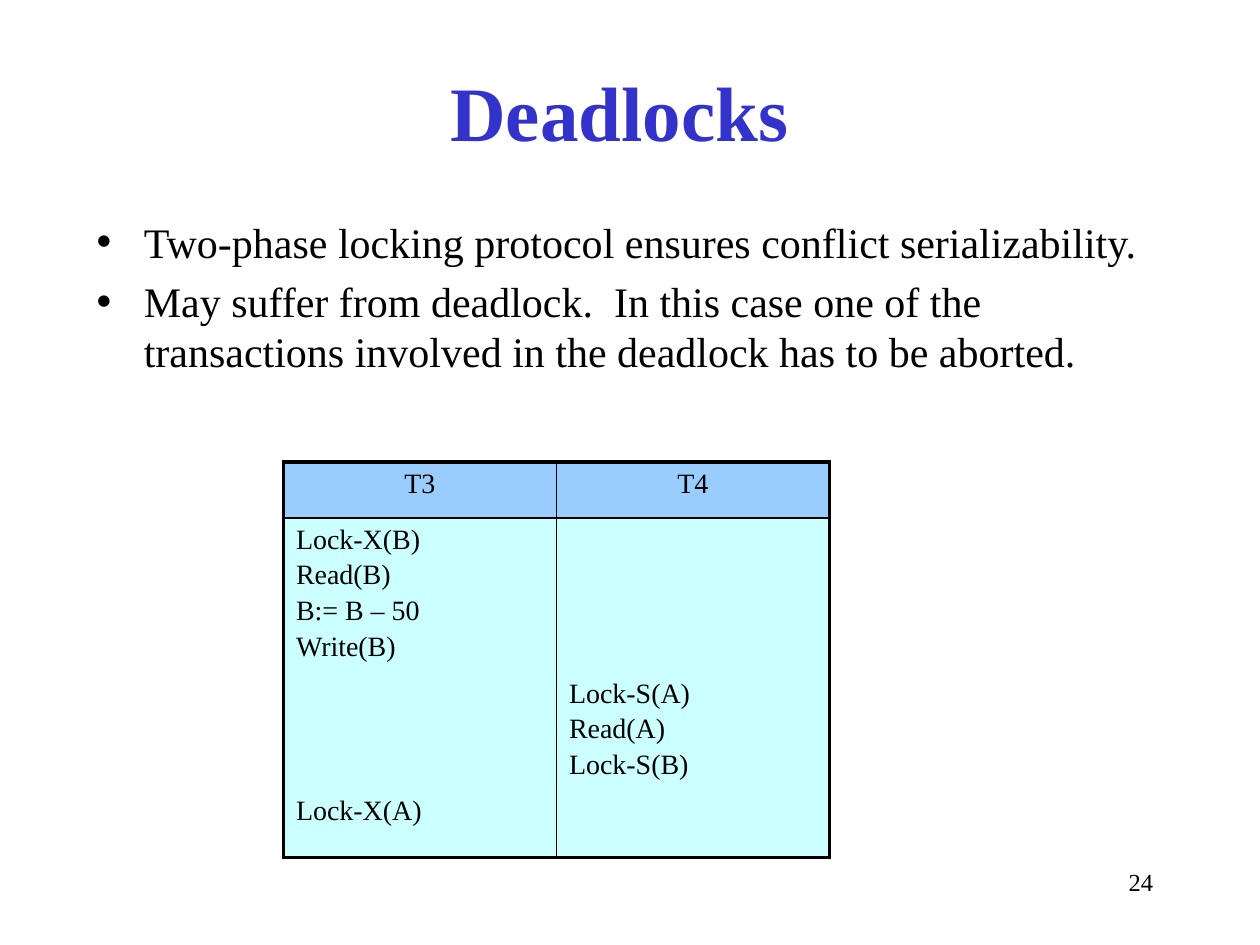
from dataclasses import dataclass

from lxml.etree import SubElement
from pptx import Presentation
from pptx.dml.color import RGBColor
from pptx.enum.text import MSO_ANCHOR, PP_ALIGN
from pptx.oxml.ns import qn
from pptx.util import Pt

FONT = "Times New Roman"
BLACK, TITLE_BLUE = "000000", "3333CC"
HEADER_FILL, STEP_FILL = "99CCFF", "CCFFFF"
OUTER, INNER = 2.25, 1


@dataclass
class TextStyle:
    size: float
    color: str = BLACK
    bold: bool = False
    align: PP_ALIGN = PP_ALIGN.LEFT
    gap: float = 0


@dataclass
class ScheduleRow:
    height: float
    t3: list[str]
    t4: list[str]


def rgb(value: str) -> RGBColor:
    return RGBColor.from_string(value)


def place(shape, left: float, top: float, width: float, height: float) -> None:
    box = {"left": left, "top": top, "width": width, "height": height}
    for name, value in box.items():
        setattr(shape, name, Pt(value))


def write(frame, lines: list[str], style: TextStyle, bullet: bool = False) -> None:
    frame.word_wrap = True
    for index, line in enumerate(lines):
        paragraph = frame.paragraphs[0] if index == 0 else frame.add_paragraph()
        paragraph.alignment = style.align
        paragraph.space_before = Pt(style.gap if index else 0)
        if bullet:
            properties = paragraph._p.get_or_add_pPr()
            properties.set("marL", str(Pt(27)))
            properties.set("indent", str(Pt(-27)))
            SubElement(properties, qn("a:buChar"), char="•")
        run = paragraph.add_run()
        run.text = line
        font_format = {"name": FONT, "size": Pt(style.size), "bold": style.bold}
        for name, value in font_format.items():
            setattr(run.font, name, value)
        run.font.color.rgb = rgb(style.color)


def set_borders(cell, widths: dict[str, float]) -> None:
    """Draw the sides that have a width and hide the others."""
    properties = cell._tc.get_or_add_tcPr()
    for index, side in enumerate(("lnL", "lnR", "lnT", "lnB")):
        width = widths[side]
        line = properties.makeelement(qn(f"a:{side}"), {"w": str(Pt(width))})
        if width:
            fill = SubElement(line, qn("a:solidFill"))
            SubElement(fill, qn("a:srgbClr"), val=BLACK)
        else:
            SubElement(line, qn("a:noFill"))
        properties.insert(index, line)


def add_schedule(slide, rows: list[ScheduleRow], left: float, top: float,
                 column_width: float) -> None:
    last = len(rows) - 1
    frame = slide.shapes.add_table(
        len(rows), 2, Pt(left), Pt(top), Pt(2 * column_width),
        Pt(sum(row.height for row in rows)))
    table = frame.table
    for column in table.columns:
        column.width = Pt(column_width)
    for r, row in enumerate(rows):
        table.rows[r].height = Pt(row.height)
        for c, steps in enumerate((row.t3, row.t4)):
            cell = table.cell(r, c)
            cell.fill.solid()
            cell.fill.fore_color.rgb = rgb(STEP_FILL if r else HEADER_FILL)
            # Only the header is ruled off from the steps below it
            set_borders(cell, {
                "lnL": INNER if c else OUTER,
                "lnR": OUTER if c else INNER,
                "lnT": {0: OUTER, 1: INNER}.get(r, 0),
                "lnB": {0: INNER, last: OUTER}.get(r, 0),
            })
            align = PP_ALIGN.LEFT if r else PP_ALIGN.CENTER
            write(cell.text_frame, steps, TextStyle(16, align=align, gap=2.6))


def main() -> None:
    deck = Presentation()
    deck.slide_width, deck.slide_height = Pt(720), Pt(540)
    slide = deck.slides.add_slide(deck.slide_layouts[1])

    # Title
    title = slide.shapes.title
    place(title, 48, 18, 612, 90)
    title.text_frame.vertical_anchor = MSO_ANCHOR.MIDDLE
    write(title.text_frame, ["Deadlocks"],
          TextStyle(44, TITLE_BLUE, True, PP_ALIGN.CENTER))

    # Bullet list
    points = slide.placeholders[1]
    place(points, 48, 120, 612, 144)
    write(points.text_frame, [
        "Two-phase locking protocol ensures conflict serializability.",
        "May suffer from deadlock.  In this case one of the transactions "
        "involved in the deadlock has to be aborted.",
    ], TextStyle(24, gap=5), bullet=True)

    # Schedule of the two transactions
    add_schedule(slide, [
        ScheduleRow(32, ["T3"], ["T4"]),
        ScheduleRow(88, ["Lock-X(B)", "Read(B)", "B:= B – 50", "Write(B)"], []),
        ScheduleRow(67, [], ["Lock-S(A)", "Read(A)", "Lock-S(B)"]),
        ScheduleRow(39, ["Lock-X(A)"], []),
    ], left=162, top=264, column_width=156)

    # Page number
    page_number = slide.shapes.add_textbox(Pt(516), Pt(492), Pt(150), Pt(36))
    write(page_number.text_frame, ["24"], TextStyle(14, align=PP_ALIGN.RIGHT))

    deck.save("out.pptx")


if __name__ == "__main__":
    main()
